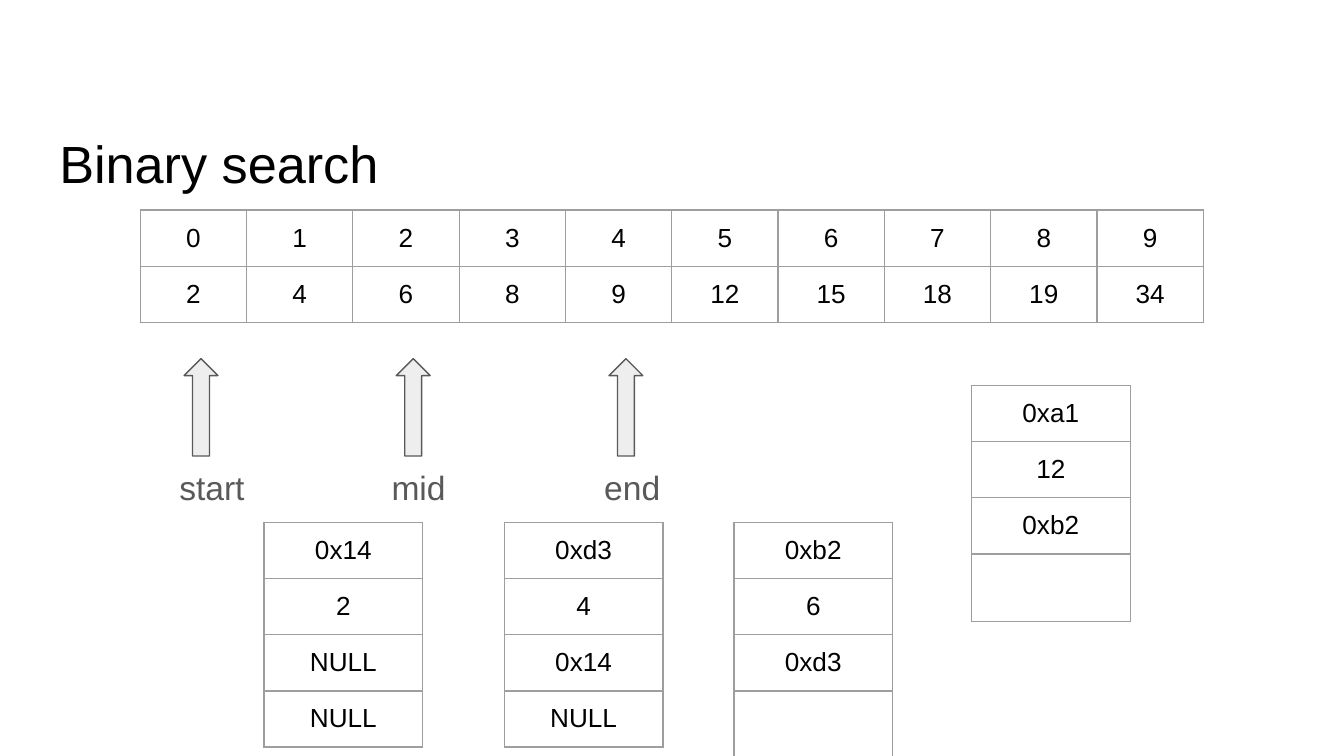
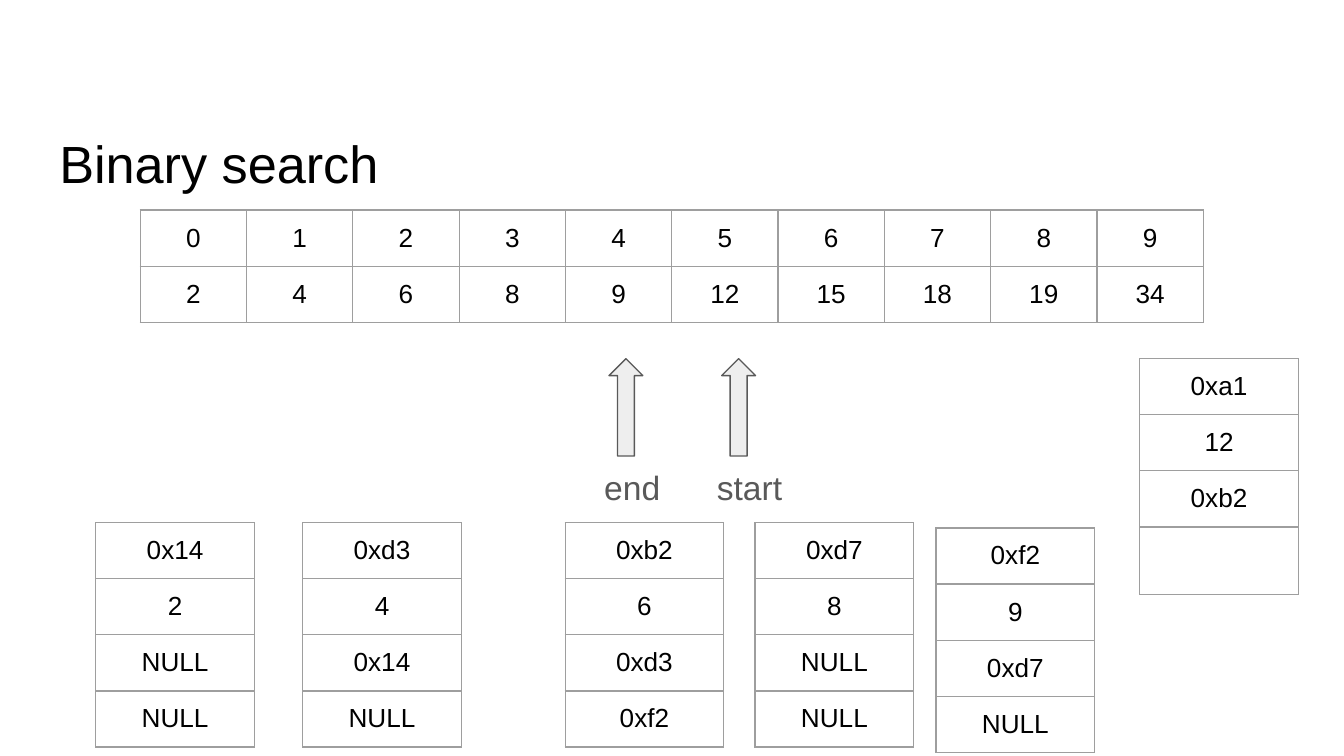
from lxml import etree
from pptx import Presentation
from pptx.dml.color import RGBColor
from pptx.enum import shapes, text
from pptx.oxml import ns
from pptx.util import Cm, Pt

TITLE = "Binary search"
ARRAY = [range(10), [2, 4, 6, 8, 9, 12, 15, 18, 19, 34]]
ROOT = ["0xa1", "12", "0xb2", ""]
LEAF = ["0x14", "2", "NULL", "NULL"]
LEFT = ["0xd3", "4", "0x14", "NULL"]
SLIDES = [
    {
        "nodes": [
            (ROOT, 18.36, 7.29),
            (["0xb2", "6", "0xd3", ""], 13.87, 9.88),
            (LEFT, 9.53, 9.88),
            (LEAF, 4.99, 9.88),
        ],
        "marks": [("end", 11.51), ("start", 3.48), ("mid", 7.49)],
        "label": 5.97,
    },
    {
        "nodes": [
            (ROOT, 21.54, 6.78),
            (["0xb2", "6", "0xd3", "0xf2"], 10.68, 9.88),
            (LEFT, 5.72, 9.88),
            (LEAF, 1.81, 9.88),
            (["0xf2", "9", "0xd7", "NULL"], 17.69, 9.98),
            (["0xd7", "8", "NULL", "NULL"], 14.27, 9.88),
        ],
        "marks": [("end", 11.51), ("start", 13.64)],
        "label": 1.9,
    },
]

FONT = "Arial"
BLACK = RGBColor(0x00, 0x00, 0x00)
WHITE = RGBColor(0xFF, 0xFF, 0xFF)
DARK = RGBColor(0x59, 0x59, 0x59)
PALE = RGBColor(0xEE, 0xEE, 0xEE)
RULE = RGBColor(0x9E, 0x9E, 0x9E)
PAD = Cm(0.25)
ROW = 1.06
ARROW_TOP = 6.78
LABEL_TOP = 8.46


def write(frame, words, size=14, color=BLACK, align=text.PP_ALIGN.LEFT, space=1.0):
    para = frame.paragraphs[0]
    para.alignment = align
    para.line_spacing = space
    run = para.add_run()
    run.text = words
    run.font.name = FONT
    run.font.size = Pt(size)
    run.font.color.rgb = color


def pad(box):
    box.margin_left = box.margin_right = PAD
    box.margin_top = box.margin_bottom = PAD


def setup(frame):
    pad(frame)
    frame.word_wrap = True
    frame.auto_size = text.MSO_AUTO_SIZE.NONE
    frame.vertical_anchor = text.MSO_ANCHOR.TOP


def edge(cell):
    props = cell._tc.get_or_add_tcPr()
    for spot, side in enumerate(("lnL", "lnR", "lnT", "lnB")):
        line = etree.Element(ns.qn("a:" + side), w=str(Pt(0.75)))
        fill = etree.SubElement(line, ns.qn("a:solidFill"))
        etree.SubElement(fill, ns.qn("a:srgbClr"), val=str(RULE))
        props.insert(spot, line)


def grid(slide, rows, left, top, wide):
    count = len(rows[0])
    table = slide.shapes.add_table(
        len(rows), count, Cm(left), Cm(top), Cm(wide * count), Cm(ROW * len(rows))
    ).table
    table.first_row = table.horz_banding = False
    for col in table.columns:
        col.width = Cm(wide)
    for r, row in enumerate(rows):
        table.rows[r].height = Cm(ROW)
        for c, value in enumerate(row):
            cell = table.cell(r, c)
            pad(cell)
            if r > 1:
                cell.fill.solid()
                cell.fill.fore_color.rgb = WHITE
            else:
                cell.fill.background()
            edge(cell)
            if value != "":
                write(cell.text_frame, str(value), align=text.PP_ALIGN.CENTER)


def mark(slide, name, left, wide):
    arrow = slide.shapes.add_shape(
        shapes.MSO_SHAPE.UP_ARROW, Cm(left), Cm(ARROW_TOP), Cm(0.64), Cm(1.84)
    )
    arrow.shadow.inherit = False
    arrow.fill.solid()
    arrow.fill.fore_color.rgb = PALE
    arrow.line.color.rgb = DARK
    arrow.line.width = Pt(0.75)
    label = slide.shapes.add_textbox(
        Cm(left - 0.34), Cm(LABEL_TOP), Cm(wide), Cm(0.64)
    )
    setup(label.text_frame)
    write(label.text_frame, name, size=18, color=DARK, space=1.15)


def head(slide):
    title = slide.shapes.title
    title.left, title.top = Cm(0.87), Cm(2.06)
    title.width, title.height = Cm(23.67), Cm(1.53)
    setup(title.text_frame)
    write(title.text_frame, TITLE, size=28, space=1.15)
    sub = slide.placeholders[1].element
    sub.getparent().remove(sub)


def main():
    deck = Presentation()
    deck.slide_width, deck.slide_height = Cm(25.4), Cm(14.29)
    for data in SLIDES:
        slide = deck.slides.add_slide(deck.slide_layouts[0])
        head(slide)
        grid(slide, ARRAY, 2.65, 3.97, 2.01)
        for node, left, top in data["nodes"]:
            grid(slide, [[value] for value in node], left, top, 3)
        for name, left in data["marks"]:
            mark(slide, name, left, data["label"])
    deck.save("out.pptx")


if __name__ == "__main__":
    main()
